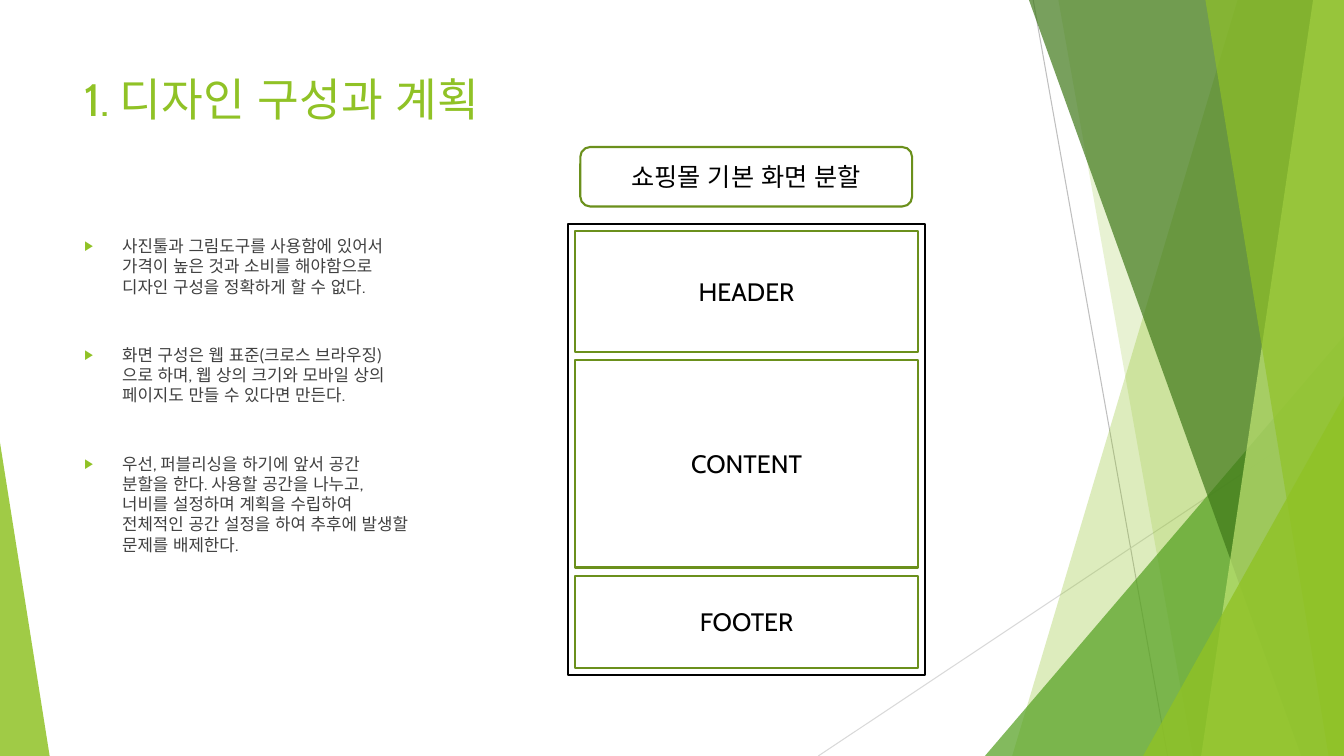
from pptx import Presentation
from pptx.dml.color import RGBColor
from pptx.enum.lang import MSO_LANGUAGE_ID
from pptx.enum.shapes import MSO_CONNECTOR, MSO_SHAPE
from pptx.enum.text import MSO_ANCHOR, MSO_AUTO_SIZE, PP_ALIGN
from pptx.oxml.ns import qn
from pptx.util import Pt
from lxml.etree import SubElement

WIDTH, HEIGHT = 960, 540
GREEN, DARK_GREEN = "90C226", "6B901C"


def color(value):
    return RGBColor.from_string(value)


def write(para, text, size=18, ink="000000", align=PP_ALIGN.LEFT, before=0):
    para.alignment = align
    para.space_before = Pt(before)
    span = para.add_run()
    span.text = text
    span.font.name = "Cabin"
    span.font.size = Pt(size)
    span.font.color.rgb = color(ink)
    span.font.language_id = MSO_LANGUAGE_ID.KOREAN


def add_bullet(para, indent, mark, ink, percent):
    properties = para._p.get_or_add_pPr()
    properties.set("marL", str(Pt(indent)))
    properties.set("indent", str(-Pt(indent)))
    bullet_color = SubElement(properties, qn("a:buClr"))
    SubElement(bullet_color, qn("a:srgbClr"), val=ink)
    SubElement(properties, qn("a:buSzPct"), val=str(percent * 1000))
    SubElement(properties, qn("a:buFont"), typeface="Arial")
    SubElement(properties, qn("a:buChar"), char=mark)


class Slide:
    def __init__(self, deck):
        self.page = deck.slides.add_slide(deck.slide_layouts[1])
        self.shapes = self.page.shapes

    def line(self, start, end, ink):
        line = self.shapes.add_connector(
            MSO_CONNECTOR.STRAIGHT, *map(Pt, start + end))
        line.line.color.rgb = color(ink)
        line.line.width = Pt(0.75)
        SubElement(line._element.spPr, qn("a:effectLst"))

    def tint(self, shape, fill, opacity):
        shape.shadow.inherit = False
        shape.fill.solid()
        shape.fill.fore_color.rgb = color(fill)
        shape.line.fill.background()
        swatch = shape._element.spPr.find(qn("a:solidFill"))[0]
        SubElement(swatch, qn("a:alpha"), val=str(opacity * 1000))

    def band(self, top_left, bottom_left, fill, opacity):
        outline = self.shapes.build_freeform(Pt(top_left), 0)
        outline.add_line_segments([
            (Pt(WIDTH), 0), (Pt(WIDTH), Pt(HEIGHT)), (Pt(bottom_left), Pt(HEIGHT))])
        self.tint(outline.convert_to_shape(), fill, opacity)

    def triangle(self, left, top, width, apex, fill, opacity):
        shape = self.shapes.add_shape(
            MSO_SHAPE.ISOSCELES_TRIANGLE, *map(Pt, (left, top, width, HEIGHT - top)))
        shape.adjustments[0] = apex
        self.tint(shape, fill, opacity)

    def box(self, area, text="", kind=MSO_SHAPE.RECTANGLE, border=DARK_GREEN):
        box = self.shapes.add_shape(kind, *map(Pt, area))
        box.shadow.inherit = False
        box.fill.solid()
        box.fill.fore_color.rgb = color("FFFFFF")
        box.line.color.rgb = color(border)
        box.line.width = Pt(1.5)
        if text:
            box.text_frame.vertical_anchor = MSO_ANCHOR.MIDDLE
            write(box.text_frame.paragraphs[0], text, align=PP_ALIGN.CENTER)

    def place(self, holder, area, anchor):
        holder.left, holder.top, holder.width, holder.height = map(Pt, area)
        self.shapes._spTree.append(holder._element)
        frame = holder.text_frame
        frame.word_wrap = True
        frame.auto_size = MSO_AUTO_SIZE.NONE
        frame.vertical_anchor = anchor
        return frame

    def title(self, text, area):
        frame = self.place(self.shapes.title, area, MSO_ANCHOR.MIDDLE)
        write(frame.paragraphs[0], text, size=32.4, ink=GREEN)

    def bullets(self, items, area, gap):
        frame = self.place(self.page.placeholders[1], area, MSO_ANCHOR.TOP)
        for index, item in enumerate(items):
            para = frame.add_paragraph() if index else frame.paragraphs[0]
            write(para, item, size=12, ink="404040", before=gap if index else 0)
            add_bullet(para, indent=27, mark="▶", ink=GREEN, percent=80)


deck = Presentation()
deck.slide_width, deck.slide_height = Pt(WIDTH), Pt(HEIGHT)
slide = Slide(deck)

slide.line((738, 0), (834, HEIGHT), "BFBFBF")
slide.line((WIDTH, 290), (584.5, HEIGHT), "D9D9D9")
slide.band(884, 723, GREEN, 30)
slide.band(756, 852, GREEN, 20)
slide.triangle(703.5, 240, 256.5, 1, "54A021", 72)
slide.band(735, 929.5, "3F7819", 70)
slide.band(938, 858, "C0E474", 70)
slide.band(861, 949, GREEN, 65)
slide.triangle(816.5, 283, 143.5, 1, GREEN, 80)
slide.triangle(0, 316, 35.5, 0, GREEN, 85)

slide.title("1. 디자인 구성과 계획", (53, 48, 677, 44))
slide.bullets([
    "사진툴과 그림도구를 사용함에 있어서 가격이 높은 것과 소비를 해야함으로 "
    "디자인 구성을 정확하게 할 수 없다.",
    "화면 구성은 웹 표준(크로스 브라우징)으로 하며, 웹 상의 크기와 모바일 상의 "
    "페이지도 만들 수 있다면 만든다.",
    "우선, 퍼블리싱을 하기에 앞서 공간 분할을 한다. 사용할 공간을 나누고, "
    "너비를 설정하며 계획을 수립하여 전체적인 공간 설정을 하여 추후에 발생할 "
    "문제를 배제한다.",
], (53, 165, 246, 260), gap=34.5)

slide.box((406, 160, 254.5, 322), border="000000")
panel_top, panel_gap = 165, 5.7
for name, height in (("HEADER", 86.4), ("CONTENT", 148.3), ("FOOTER", 66.2)):
    slide.box((410.5, panel_top, 245.5, height), name)
    panel_top += height + panel_gap
slide.box((414.5, 105, 237, 42.5), "쇼핑몰 기본 화면 분할", MSO_SHAPE.ROUNDED_RECTANGLE)

deck.save("out.pptx")
